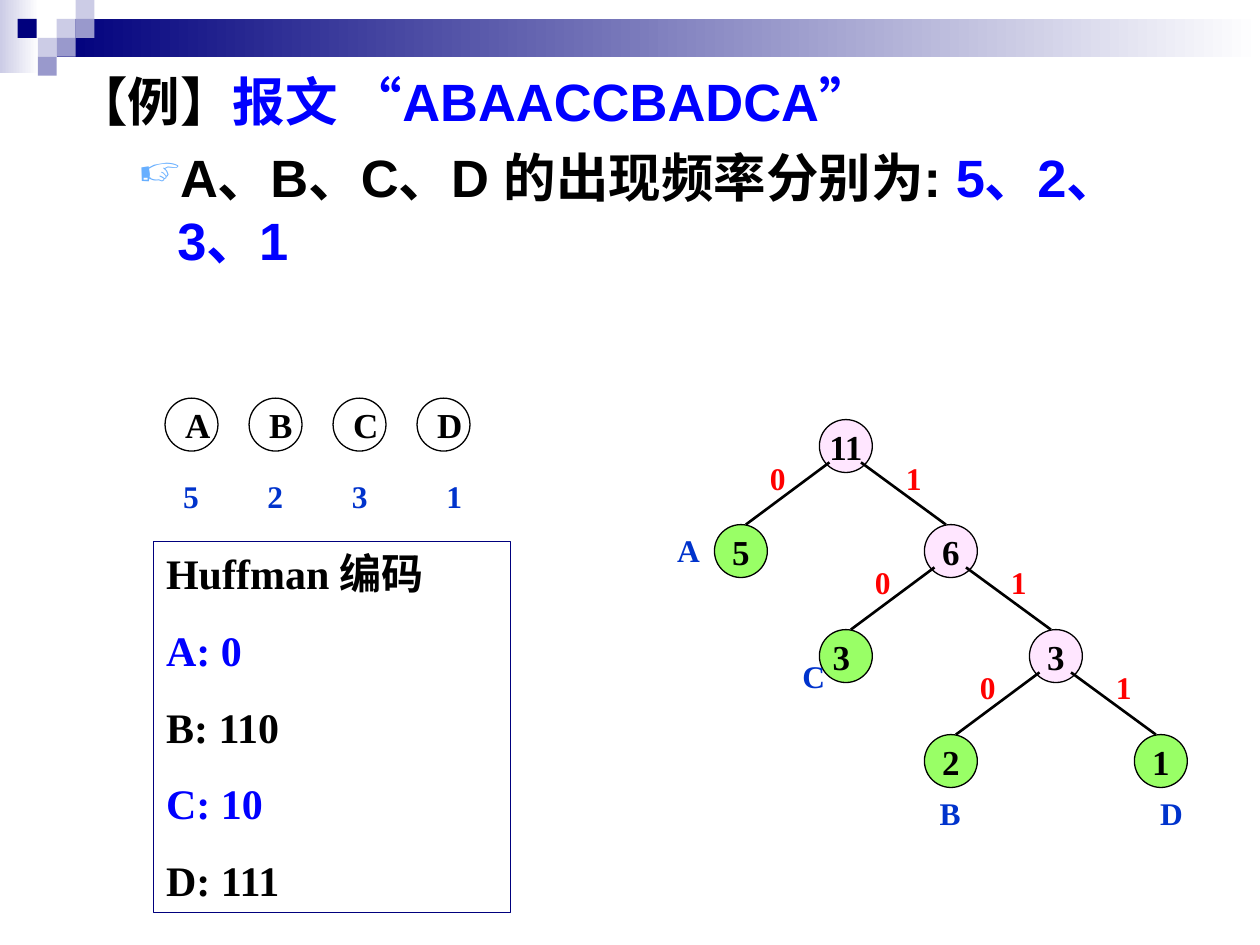
from dataclasses import dataclass
from typing import Optional

from lxml import etree
from pptx import Presentation
from pptx.dml.color import RGBColor
from pptx.enum import shapes, text
from pptx.oxml.ns import qn
from pptx.util import Inches, Pt


@dataclass(frozen=True)
class Theme:
    navy: str = "00007D"
    lilac: str = "9999CC"
    pale: str = "CCCCE6"
    white: str = "FFFFFF"
    black: str = "000000"
    blue: str = "0000FF"
    label: str = "0033CC"
    red: str = "FF0000"
    bullet: str = "67AFFF"
    inner: str = "FFE6FF"
    leaf: str = "99FF66"
    sans: str = "Arial"
    serif: str = "Times New Roman"
    title_size: int = 30
    code_size: int = 24
    node_size: int = 20
    label_size: int = 18


@dataclass(frozen=True)
class Node:
    """A tree node on the grid; children are indices, left then right."""
    weight: str
    col: int
    row: int
    children: tuple[int, ...] = ()
    letter: str = ""
    letter_dx: float = 0
    letter_dy: float = 0

    @property
    def left(self) -> float:
        return TREE_LEFT + self.col * TREE_STEP

    @property
    def top(self) -> float:
        return TREE_TOP + self.row * TREE_STEP


@dataclass(frozen=True)
class Branch:
    """One side of a fork, as offsets from the parent and child corners."""
    bit: str
    start_dx: float
    end_dx: float
    bit_dx: float


T = Theme()
DIAMETER = 0.42
TREE_LEFT, TREE_TOP, TREE_STEP = 5.67, 3.33, 5 / 6
FORK_DY, BIT_DY = 0.34, 0.26
BRANCHES = (Branch("0", 0.08, 0.25, -0.58), Branch("1", 0.33, 0.17, 0.5))
TREE = (
    Node("11", 1, 0, (1, 2)),
    Node("5", 0, 1, (), "A", -0.58, 0),
    Node("6", 2, 1, (3, 4)),
    Node("3 ", 1, 2, (), "C", -0.42, 0.17),
    Node("3", 3, 2, (5, 6)),
    Node("2", 2, 3, (), "B", -0.17, 0.42),
    Node("1", 4, 3, (), "D", -0.08, 0.42),
)
FREQUENCIES = (("A", "5", 1.14), ("B", "2", 1.81), ("C", "3", 2.48), ("D", "1", 3.23))
CODES = (("Huffman 编码", T.black), ("A: 0", T.blue), ("B: 110", T.black),
         ("C: 10", T.blue), ("D: 111", T.black))
TILE = 0.15
TILES = ((0.45, 0.15, T.pale), (0.6, 0, T.pale), (0.6, 0.15, T.lilac),
         (0.3, 0.3, T.pale), (0.14, 0.15, T.navy), (0.45, 0.3, T.lilac),
         (0.3, 0.45, T.lilac))


def rgb(color: str) -> RGBColor:
    return RGBColor.from_string(color)


def style(r, size: int, color: str, font: str = T.serif) -> None:
    r.font.name, r.font.size, r.font.bold = font, Pt(size), True
    r.font.color.rgb = rgb(color)


def add_box(s, kind, x: float, y: float, w: float, h: float,
            fill: Optional[str] = None, line: Optional[str] = None):
    sp = s.shapes.add_shape(kind, Inches(x), Inches(y), Inches(w), Inches(h))
    sp.shadow.inherit = False
    if fill:
        sp.fill.solid()
        sp.fill.fore_color.rgb = rgb(fill)
    else:
        sp.fill.background()
    if line:
        sp.line.color.rgb, sp.line.width = rgb(line), Pt(0.75)
    else:
        sp.line.fill.background()
    return sp


def add_fade(s, x: float, y: float, w: float, h: float, color: str) -> None:
    """Rectangle fading from the colour to white, left to right."""
    sp = add_box(s, shapes.MSO_SHAPE.RECTANGLE, x, y, w, h)
    sp.fill.gradient()
    sp.fill.gradient_angle = 0
    for stop, stop_color in zip(sp.fill.gradient_stops, (color, T.white)):
        stop.color.rgb = rgb(stop_color)


def add_circle(s, x: float, y: float, label: str, fill: str, align, inset: float) -> None:
    sp = add_box(s, shapes.MSO_SHAPE.OVAL, x, y, DIAMETER, DIAMETER, fill, T.black)
    tf = sp.text_frame
    tf.word_wrap = False
    tf.vertical_anchor = text.MSO_ANCHOR.MIDDLE
    tf.margin_left = tf.margin_right = Inches(inset)
    p = tf.paragraphs[0]
    p.text, p.alignment = label, align
    style(p.runs[0], T.node_size, T.black)


def add_label(s, x: float, y: float, w: float, label: str, color: str) -> None:
    tf = s.shapes.add_textbox(Inches(x), Inches(y), Inches(w), Inches(0.4)).text_frame
    tf.word_wrap = True
    tf.margin_left = tf.margin_right = 0
    p = tf.paragraphs[0]
    p.text, p.alignment = label, text.PP_ALIGN.CENTER
    style(p.runs[0], T.label_size, color)


def add_edge(s, x1: float, y1: float, x2: float, y2: float) -> None:
    c = s.shapes.add_connector(shapes.MSO_CONNECTOR.STRAIGHT,
                               Inches(x1), Inches(y1), Inches(x2), Inches(y2))
    c.line.color.rgb, c.line.width = rgb(T.black), Pt(1.5)
    etree.SubElement(c._element.spPr, qn("a:effectLst"))


def indent(p, margin: float, first: float, bullet: Optional[str] = None) -> None:
    pPr = p._p.get_or_add_pPr()
    pPr.set("marL", str(Inches(margin)))
    pPr.set("indent", str(Inches(first)))
    if bullet:
        clr = etree.SubElement(pPr, qn("a:buClr"))
        etree.SubElement(clr, qn("a:srgbClr"), val=T.bullet)
        etree.SubElement(pPr, qn("a:buSzPct"), val="80000")
        etree.SubElement(pPr, qn("a:buChar"), char=bullet)


def add_message(s) -> None:
    tf = s.shapes.add_textbox(Inches(0.5), Inches(0.5), Inches(9), Inches(6.25)).text_frame
    tf.word_wrap = True
    example, counts = tf.paragraphs[0], tf.add_paragraph()
    indent(example, 0.38, -0.38)
    indent(counts, 0.81, -0.31, "☞")
    counts.level, counts.space_before = 1, Pt(7.5)
    for p, lead, value in ((example, "【例】", "报文 “ABAACCBADCA”"),
                           (counts, "A、B、C、D 的出现频率分别为: ", "5、2、3、1")):
        for words, color in ((lead, T.black), (value, T.blue)):
            r = p.add_run()
            r.text = words
            style(r, T.title_size, color, T.sans)


def add_codes(s) -> None:
    sp = add_box(s, shapes.MSO_SHAPE.RECTANGLE, 1.22, 4.3, 2.83, 2.94, line=T.navy)
    tf = sp.text_frame
    tf.vertical_anchor = text.MSO_ANCHOR.TOP
    tf.text = "\n".join(code for code, _ in CODES)
    for i, (p, (_, color)) in enumerate(zip(tf.paragraphs, CODES)):
        p.alignment = text.PP_ALIGN.LEFT
        if i:
            p.space_before = Pt(15)
        style(p.runs[0], T.code_size, color)


def add_tree(s) -> None:
    for n in TREE:
        add_circle(s, n.left, n.top, n.weight, T.inner if n.children else T.leaf,
                   text.PP_ALIGN.CENTER, 0)
    for n in TREE:
        for branch, index in zip(BRANCHES, n.children):
            child = TREE[index]
            add_edge(s, n.left + branch.start_dx, n.top + FORK_DY,
                     child.left + branch.end_dx, child.top)
            add_label(s, n.left + branch.bit_dx, n.top + BIT_DY, 0.5, branch.bit, T.red)
        if n.letter:
            add_label(s, n.left + n.letter_dx, n.top + n.letter_dy, 0.75, n.letter, T.label)


def main() -> None:
    prs = Presentation()
    prs.slide_width, prs.slide_height = Inches(10), Inches(7.5)
    s = prs.slides.add_slide(prs.slide_layouts[6])
    add_fade(s, 0, 0, 0.31, 0.58, T.pale)
    add_fade(s, 0.45, 0.15, 9.55, 0.3, T.navy)
    for x, y, color in TILES:
        add_box(s, shapes.MSO_SHAPE.RECTANGLE, x, y, TILE, TILE, color)
    add_message(s)
    for i, (letter, count, count_x) in enumerate(FREQUENCIES):
        add_circle(s, 1.31 + i * 2 / 3, 3.16, f"{letter} ", T.white, text.PP_ALIGN.LEFT, 0.1)
        add_label(s, count_x, 3.74, 0.75, count, T.label)
    add_tree(s)
    add_codes(s)
    prs.save("out.pptx")


if __name__ == "__main__":
    main()
